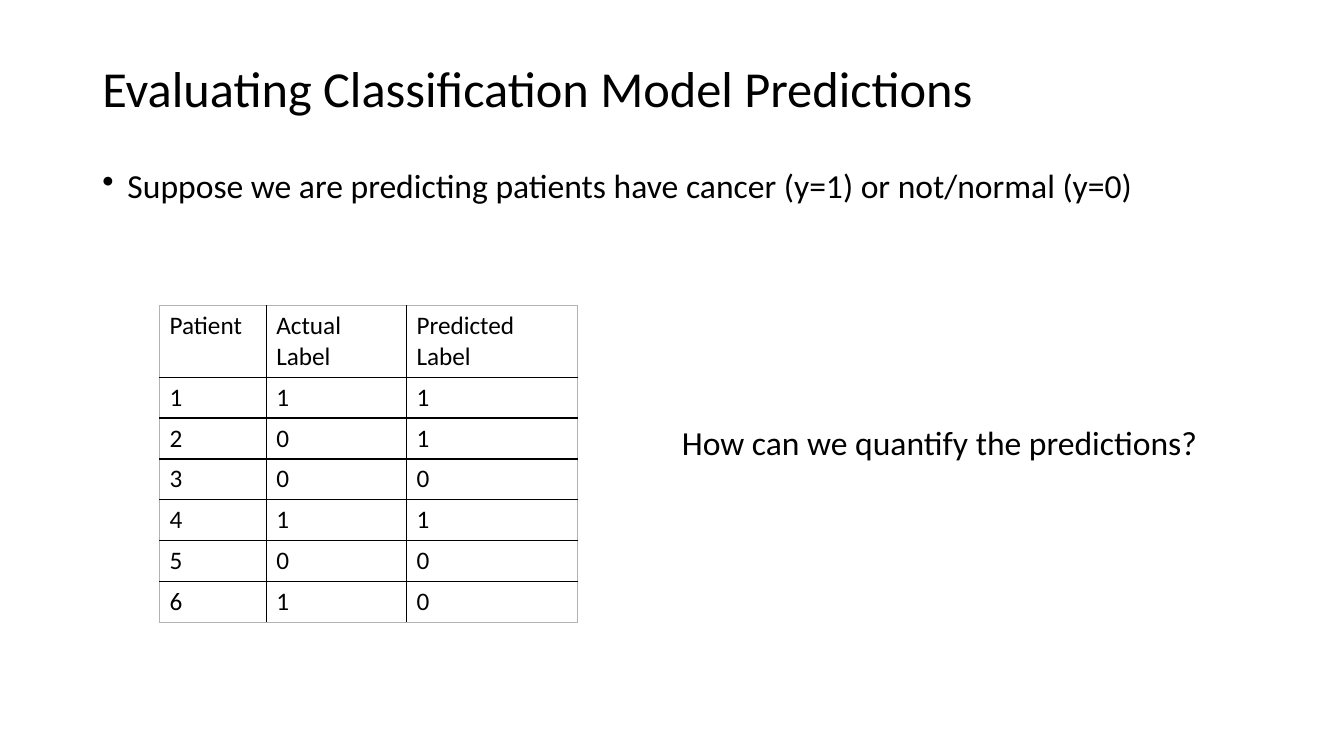
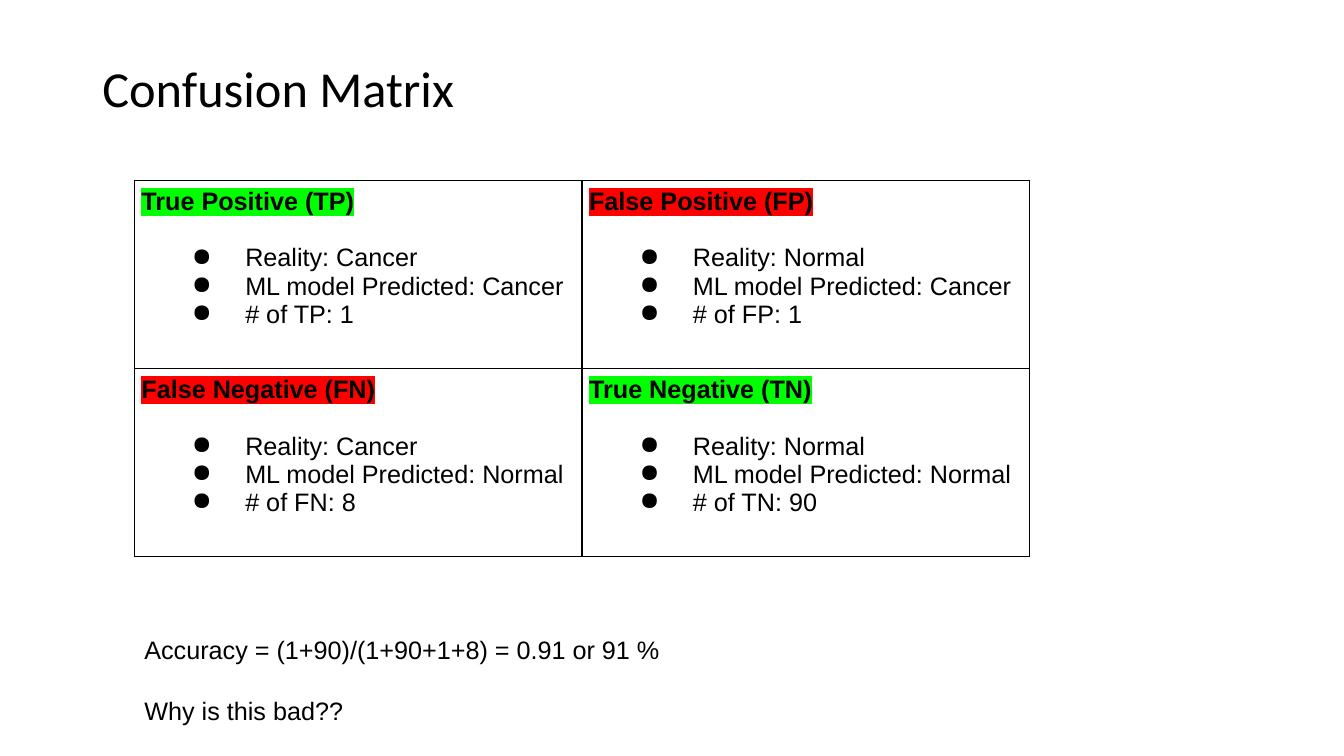
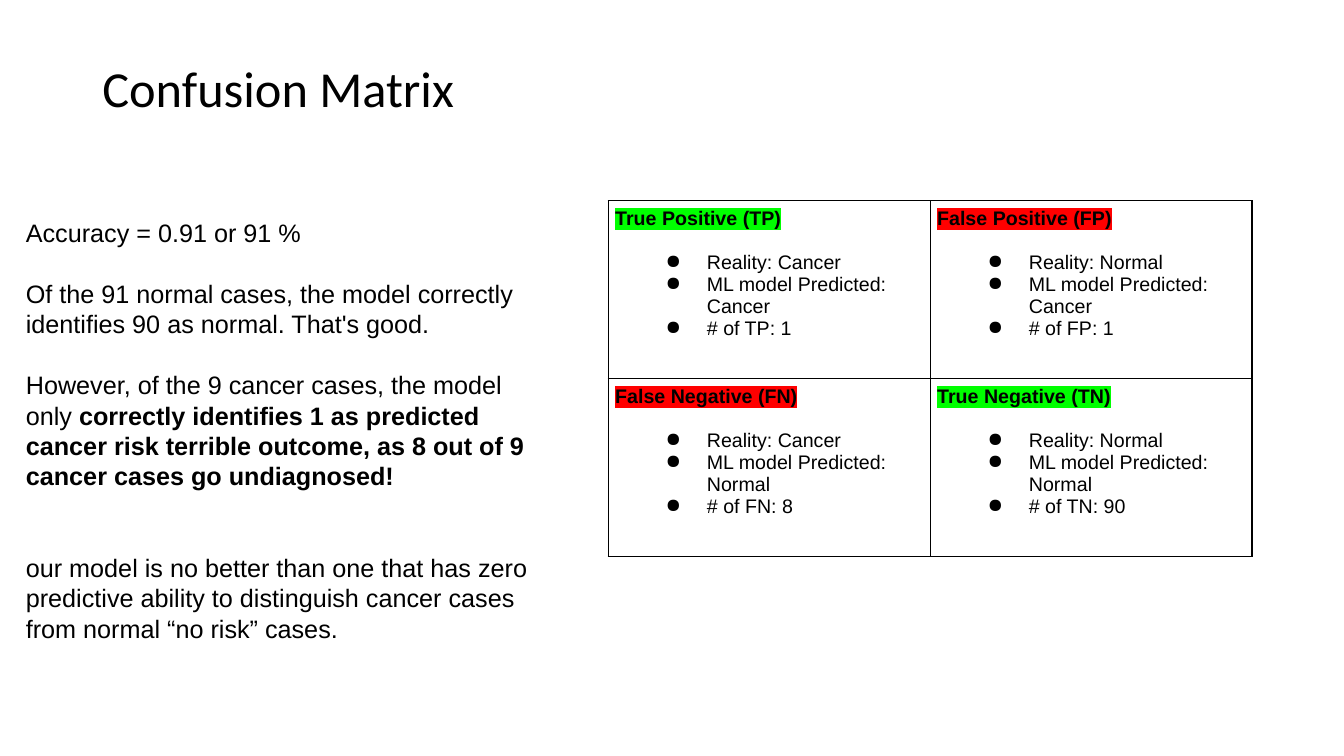
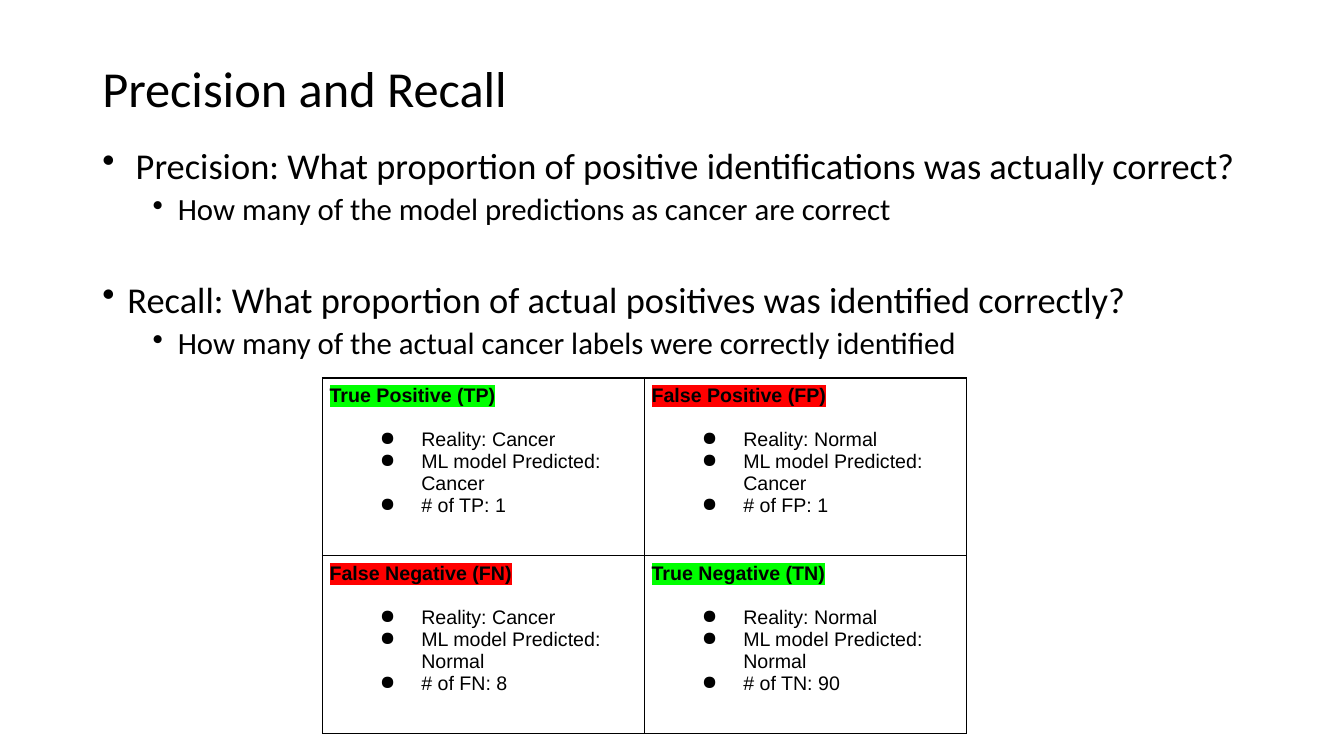
from dataclasses import dataclass
from typing import Optional

from lxml import etree
from pptx import Presentation
from pptx.dml.color import RGBColor
from pptx.enum.text import MSO_ANCHOR
from pptx.oxml.ns import qn
from pptx.slide import Slide
from pptx.table import Table, _Cell
from pptx.text.text import TextFrame
from pptx.util import Emu, Inches, Pt

MIDDLE, TOP = MSO_ANCHOR.MIDDLE, MSO_ANCHOR.TOP

BLACK = RGBColor(0x00, 0x00, 0x00)
GRAY = RGBColor(0xB2, 0xB2, 0xB2)
GREEN = RGBColor(0x00, 0xFF, 0x00)
RED = RGBColor(0xFF, 0x00, 0x00)

HEADING_FONT, PLAIN_FONT = "Calibri", "Arial"

# The slide is a grid of 160 columns by 90 rows, each unit a twelfth of an inch.
UNIT = Inches(1) // 12
COLUMNS, ROWS = 160, 90
MARGIN = 11
CONTENT_WIDTH = COLUMNS - 2 * MARGIN
BLANK_LAYOUT = 6


@dataclass(frozen=True)
class Box:
    """An area of the slide in grid columns and rows."""
    left: float
    top: float
    width: float
    height: float

    def emu(self) -> tuple[Emu, Emu, Emu, Emu]:
        return grid(self.left), grid(self.top), grid(self.width), grid(self.height)


@dataclass(frozen=True)
class Outcome:
    """One quadrant of the confusion matrix."""
    name: str
    short: str
    reality: str
    predicted: str
    count: int

    @property
    def color(self) -> RGBColor:
        return GREEN if self.reality == self.predicted else RED

    def facts(self) -> tuple[str, str, str]:
        return (f"Reality: {self.reality}",
                f"ML model Predicted: {self.predicted}",
                f"# of {self.short}: {self.count}")


OUTCOMES = (
    (Outcome("True Positive", "TP", "Cancer", "Cancer", 1),
     Outcome("False Positive", "FP", "Normal", "Cancer", 1)),
    (Outcome("False Negative", "FN", "Cancer", "Normal", 8),
     Outcome("True Negative", "TN", "Normal", "Normal", 90)),
)

PATIENT_HEADER = ("Patient", "Actual Label", "Predicted Label")
PATIENT_LABELS = ((1, 1), (0, 1), (0, 0), (1, 1), (0, 0), (1, 0))


def grid(units: float) -> Emu:
    return Emu(round(units * UNIT))


def write(frame: TextFrame, text: str, *, size: float, font: str = HEADING_FONT,
          bold: bool = False, emphasis: str = "", highlight: Optional[RGBColor] = None,
          bullet: str = "", indent: float = 0, hanging: float = 0,
          before: float = 0, line: Optional[float] = None) -> None:
    """Add a paragraph; emphasis is a bold ending, indents are in inches."""
    paragraph = frame.paragraphs[0]
    if paragraph.runs:
        paragraph = frame.add_paragraph()
    paragraph.space_before = Pt(before)
    if line:
        paragraph.line_spacing = line
    if bullet:
        properties = paragraph._p.get_or_add_pPr()
        properties.set("marL", str(Inches(indent)))
        properties.set("indent", str(-Inches(hanging)))
        etree.SubElement(properties, qn("a:buChar"), char=bullet)
    for words, strong in ((text, bold), (emphasis, True)):
        if not words:
            continue
        run = paragraph.add_run()
        run.text = words
        run.font.size = Pt(size)
        run.font.bold = strong
        run.font.color.rgb = BLACK
        run.font.name = font
        if highlight is not None:
            mark = etree.Element(qn("a:highlight"))
            etree.SubElement(mark, qn("a:srgbClr"), val=str(highlight))
            run._r.rPr.find(qn("a:solidFill")).addnext(mark)


def add_text_area(slide: Slide, box: Box, anchor: MSO_ANCHOR = TOP) -> TextFrame:
    frame = slide.shapes.add_textbox(*box.emu()).text_frame
    frame.word_wrap = True
    frame.vertical_anchor = anchor
    return frame


def add_titled_slide(deck: Presentation, title: str) -> Slide:
    slide = deck.slides.add_slide(deck.slide_layouts[BLANK_LAYOUT])
    frame = add_text_area(slide, Box(MARGIN, 4.8, CONTENT_WIDTH, 12.2), MIDDLE)
    write(frame, title, size=36, line=0.9)
    return slide


def write_point(frame: TextFrame, text: str, *, size: float, level: int = 0,
                before: float = 10) -> None:
    write(frame, text, size=size, bullet="•", indent=0.25 + 0.5 * level,
          hanging=0.25, before=before, line=0.9)


def draw_borders(cell: _Cell, colors: dict[str, RGBColor]) -> None:
    """Draw one-point cell edges, given by side in the order L, R, T, B."""
    properties = cell._tc.get_or_add_tcPr()
    for position, (side, color) in enumerate(colors.items()):
        edge = etree.Element(qn(f"a:ln{side}"), w=str(Pt(1)))
        fill = etree.SubElement(edge, qn("a:solidFill"))
        etree.SubElement(fill, qn("a:srgbClr"), val=str(color))
        properties.insert(position, edge)


def add_plain_table(slide: Slide, left: float, top: float, widths: list[float],
                    heights: list[float], outline: RGBColor = BLACK) -> Table:
    """Add an unfilled table with black inner lines."""
    box = Box(left, top, sum(widths), sum(heights))
    table = slide.shapes.add_table(len(heights), len(widths), *box.emu()).table
    table.first_row = table.horz_banding = False
    for column, width in zip(table.columns, widths):
        column.width = grid(width)
    for row, height in zip(table.rows, heights):
        row.height = grid(height)
    last_row, last_column = len(heights) - 1, len(widths) - 1
    for r in range(len(heights)):
        for c in range(len(widths)):
            cell = table.cell(r, c)
            cell.fill.background()
            outer = {"L": c == 0, "R": c == last_column,
                     "T": r == 0, "B": r == last_row}
            draw_borders(cell, {side: outline if is_outer else BLACK
                                for side, is_outer in outer.items()})
    return table


def add_confusion_matrix(slide: Slide, left: float, top: float, *, width: float,
                         height: float, size: float, hanging: float) -> None:
    """Add the four outcomes; width and height are those of one cell."""
    table = add_plain_table(slide, left, top, [width] * 2, [height] * 2)
    for r, outcomes in enumerate(OUTCOMES):
        for c, outcome in enumerate(outcomes):
            cell = table.cell(r, c)
            cell.margin_left = cell.margin_right = Inches(0.07)
            cell.margin_top = cell.margin_bottom = Inches(0.07)
            frame = cell.text_frame
            write(frame, f"{outcome.name} ({outcome.short})", size=size,
                  font=PLAIN_FONT, bold=True, highlight=outcome.color)
            for order, fact in enumerate(outcome.facts()):
                write(frame, fact, size=size, font=PLAIN_FONT, bullet="●",
                      indent=0.5 + hanging, hanging=hanging,
                      before=0 if order else 1.12 * size)


def add_small_matrix(slide: Slide, left: float, top: float) -> None:
    add_confusion_matrix(slide, left, top, width=38.33, height=21.17,
                         size=14, hanging=0.41)


def build_predictions(deck: Presentation) -> None:
    slide = add_titled_slide(deck, "Evaluating Classification Model Predictions")
    premise = add_text_area(slide, Box(MARGIN, 19.6, 127.2, 6.1))
    write_point(premise, "Suppose we are predicting patients have cancer (y=1) "
                "or not/normal (y=0)", size=24)

    table = add_plain_table(slide, 19, 36.4, [12.7, 16.7, 20.4],
                            [8.5] + [4.87] * len(PATIENT_LABELS), GRAY)
    patients = [(number, *labels) for number, labels in enumerate(PATIENT_LABELS, 1)]
    for r, values in enumerate([PATIENT_HEADER, *patients]):
        for c, value in enumerate(values):
            write(table.cell(r, c).text_frame, str(value), size=18)

    question = add_text_area(slide, Box(80, 49.6, 66, 6))
    write(question, "How can we quantify the predictions?", size=24)


def build_matrix(deck: Presentation) -> None:
    slide = add_titled_slide(deck, "Confusion Matrix")
    add_confusion_matrix(slide, 16, 21.5, width=53.3, height=22.4,
                         size=18, hanging=0.53)
    accuracy = add_text_area(slide, Box(16, 74.9, 109.6, 13.2))
    write(accuracy, "Accuracy = (1+90)/(1+90+1+8) = 0.91 or 91 %",
          size=18, font=PLAIN_FONT)
    write(accuracy, "Why is this bad??", size=18, font=PLAIN_FONT, before=22)


def build_accuracy_flaw(deck: Presentation) -> None:
    slide = add_titled_slide(deck, "Confusion Matrix")
    add_small_matrix(slide, 72.4, 23.9)
    argument = add_text_area(slide, Box(1.9, 25.3, 65, 59.4))
    for text, emphasis, before in (
        ("Accuracy = 0.91 or 91 %", "", 0),
        ("Of the 91 normal cases, the model correctly identifies 90 as normal. "
         "That's good.", "", 22),
        ("However, of the 9 cancer cases, the model only ",
         "correctly identifies 1 as predicted cancer risk terrible outcome, "
         "as 8 out of 9 cancer cases go undiagnosed!", 22),
        ("our model is no better than one that has zero predictive ability to "
         "distinguish cancer cases from normal “no risk” cases.", "", 44),
    ):
        write(argument, text, emphasis=emphasis, size=18, font=PLAIN_FONT,
              before=before)


def build_precision_recall(deck: Presentation) -> None:
    slide = add_titled_slide(deck, "Precision and Recall")
    definitions = add_text_area(slide, Box(MARGIN, 17, CONTENT_WIDTH, 64))
    for measure, meaning, before in (
        (" Precision: What proportion of positive identifications was actually correct?",
         "How many of the model predictions as cancer are correct", 10),
        ("Recall: What proportion of actual positives was identified correctly?",
         "How many of the actual cancer labels were correctly identified", 39),
    ):
        write_point(definitions, measure, size=26, before=before)
        write_point(definitions, meaning, size=22, level=1, before=5)
    add_small_matrix(slide, 38.4, 45)


def main() -> None:
    deck = Presentation()
    deck.slide_width, deck.slide_height = grid(COLUMNS), grid(ROWS)
    for build in (build_predictions, build_matrix, build_accuracy_flaw,
                  build_precision_recall):
        build(deck)
    deck.save("out.pptx")


if __name__ == "__main__":
    main()
